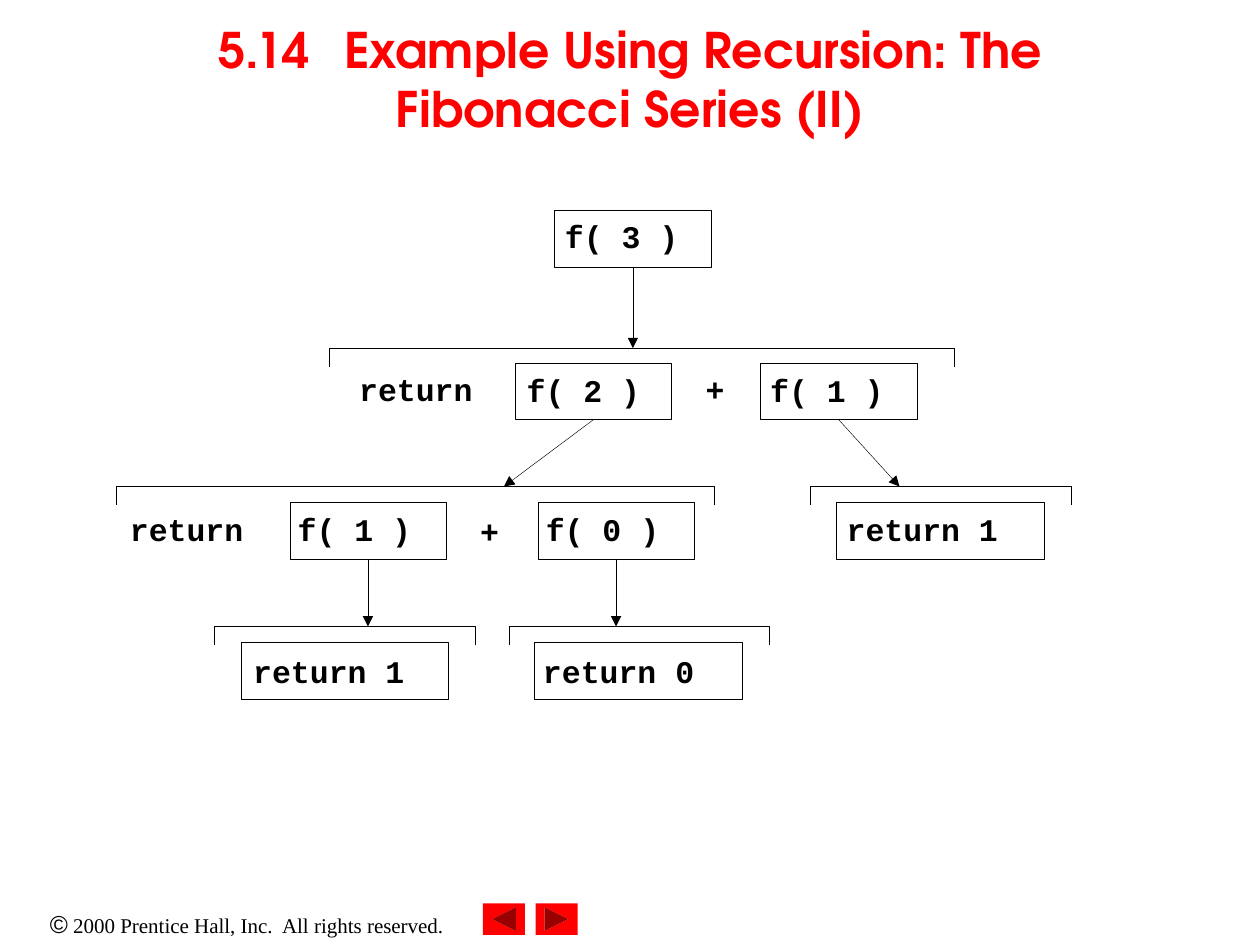
from lxml import etree
from pptx import Presentation
from pptx.dml.color import RGBColor
from pptx.enum.shapes import MSO_CONNECTOR, MSO_SHAPE
from pptx.enum.text import MSO_ANCHOR, MSO_AUTO_SIZE, PP_ALIGN
from pptx.oxml.ns import qn
from pptx.util import Pt

STRAIGHT = MSO_CONNECTOR.STRAIGHT
RECTANGLE = MSO_SHAPE.RECTANGLE
FORWARD_BUTTON = MSO_SHAPE.ACTION_BUTTON_FORWARD_OR_NEXT
TOP, MIDDLE = MSO_ANCHOR.TOP, MSO_ANCHOR.MIDDLE
CENTER, LEFT = PP_ALIGN.CENTER, PP_ALIGN.LEFT
BOTTOM_SITE = 2

COLORS = {"red": "FF0000", "black": "000000"}
LINE_WIDTH = 0.25
BOX_HEIGHT = 32.4
CALL_WIDTH, RETURN_WIDTH = 89.3, 118.8
BRACKET_DROP = 10.8


def style_font(font, name, size, color, bold=False):
    font.name = name
    font.size = Pt(size)
    font.bold = bold
    font.color.rgb = RGBColor.from_string(COLORS[color])


def set_code(shape, text, left=0, top=0):
    """Write top-left aligned code text, inset by left and top points."""
    frame = shape.text_frame
    frame.margin_left, frame.margin_top = Pt(left), Pt(top)
    frame.margin_right = frame.margin_bottom = 0
    frame.word_wrap = False
    frame.vertical_anchor = TOP
    frame.text = text
    paragraph = frame.paragraphs[0]
    paragraph.alignment = LEFT
    style_font(paragraph.runs[0].font, "Courier New", 18, "black", True)


presentation = Presentation()
presentation.slide_width, presentation.slide_height = Pt(720), Pt(540)
slide = presentation.slides.add_slide(presentation.slide_layouts[5])
shapes = slide.shapes

# Title
title = shapes.title
title.left, title.top, title.width, title.height = Pt(54), 0, Pt(612), Pt(90)
title.text_frame.text = "5.14\tExample Using Recursion: The Fibonacci Series (II)"
title.text_frame.auto_size = MSO_AUTO_SIZE.NONE
title.text_frame.vertical_anchor = MIDDLE
paragraph = title.text_frame.paragraphs[0]
paragraph.alignment = CENTER
tabs = etree.SubElement(paragraph._p.get_or_add_pPr(), qn("a:tabLst"))
etree.SubElement(tabs, qn("a:tab"), pos=str(Pt(72)), algn="l")
style_font(paragraph.runs[0].font, "TeX Gyre Adventor", 28, "red", True)

# Copyright line
footer = shapes.add_textbox(0, Pt(516.2), Pt(282.2), Pt(24.5))
footer.text_frame.word_wrap = True
paragraph = footer.text_frame.paragraphs[0]
paragraph.alignment = CENTER
for text, name, size in [
    ("©", "Arial", 14),
    (" 2000 Prentice Hall, Inc.  All rights reserved.", "Times New Roman", 12),
]:
    run = paragraph.add_run()
    run.text = text
    style_font(run.font, name, size, "black")

# Navigation buttons: the back button is the forward one turned round
for left, rotation in [(306, 0), (276, 180)]:
    button = shapes.add_shape(FORWARD_BUTTON, Pt(left), Pt(516.2), Pt(24), Pt(18))
    button.rotation = rotation
    button.shadow.inherit = False
    button.fill.solid()
    button.fill.fore_color.rgb = RGBColor.from_string(COLORS["red"])
    button.line.fill.background()

# Brackets: left, top, width
for left, top, width in [
    (188.2, 199, 356.8),
    (66.2, 278, 342),
    (463, 278, 149),
    (122.4, 358, 149),
    (290.9, 358, 148.5),
]:
    right, bottom = left + width, top + BRACKET_DROP
    builder = shapes.build_freeform(Pt(right), Pt(bottom))
    builder.add_line_segments(
        [(Pt(right), Pt(top)), (Pt(left), Pt(top)), (Pt(left), Pt(bottom))],
        close=False,
    )
    bracket = builder.convert_to_shape()
    bracket.shadow.inherit = False
    bracket.fill.background()
    bracket.line.width = Pt(LINE_WIDTH)
    bracket.line.color.rgb = RGBColor.from_string(COLORS["black"])

# Boxes: text, left, top, width, text inset left and top, arrow tip (x, y);
# a tip without x lies straight below the box
for text, left, top, width, inset_left, inset_top, tip in [
    ("f( 3 )", 317, 120.2, CALL_WIDTH, 5.8, 3.6, (None, 199)),
    ("f( 2 )", 294.5, 207.4, CALL_WIDTH, 6.5, 4.3, (288, 278)),
    ("f( 1 )", 434.6, 207.4, CALL_WIDTH, 5.5, 4.3, (514, 278)),
    ("f( 1 )", 165.6, 287.2, CALL_WIDTH, 4.5, 4.3, (None, 358)),
    ("f( 0 )", 307.4, 287.2, CALL_WIDTH, 4.5, 4.3, (None, 358)),
    ("return 1", 478, 287.2, RETURN_WIDTH, 5.8, 4.3, None),
    ("return 1", 137.6, 367.2, RETURN_WIDTH, 7.2, 5.5, None),
    ("return 0", 305.3, 367.2, RETURN_WIDTH, 5, 5.5, None),
]:
    box = shapes.add_shape(RECTANGLE, Pt(left), Pt(top), Pt(width), Pt(BOX_HEIGHT))
    box.shadow.inherit = False
    box.fill.background()
    box.line.width = Pt(LINE_WIDTH)
    box.line.color.rgb = RGBColor.from_string(COLORS["black"])
    set_code(box, text, inset_left, inset_top)
    if tip is None:
        continue
    center = left + width / 2
    tip_x = center if tip[0] is None else tip[0]
    arrow = shapes.add_connector(
        STRAIGHT, Pt(center), Pt(top + BOX_HEIGHT), Pt(tip_x), Pt(tip[1])
    )
    arrow.begin_connect(box, BOTTOM_SITE)
    arrow.line.width = Pt(LINE_WIDTH)
    arrow.line.color.rgb = RGBColor.from_string(COLORS["black"])
    etree.SubElement(arrow.line._get_or_add_ln(), qn("a:tailEnd"), type="triangle")
    etree.SubElement(arrow._element.spPr, qn("a:effectLst"))

# Unboxed code: text, left, top, width
for text, left, top, width in [
    ("return", 205.2, 211.7, 94.3),
    ("+", 403.2, 211.7, 20.2),
    ("return", 74.2, 291.6, 94.3),
    ("+", 274.3, 292.3, 20.2),
]:
    set_code(shapes.add_textbox(Pt(left), Pt(top), Pt(width), Pt(25.2)), text)

presentation.save("out.pptx")
